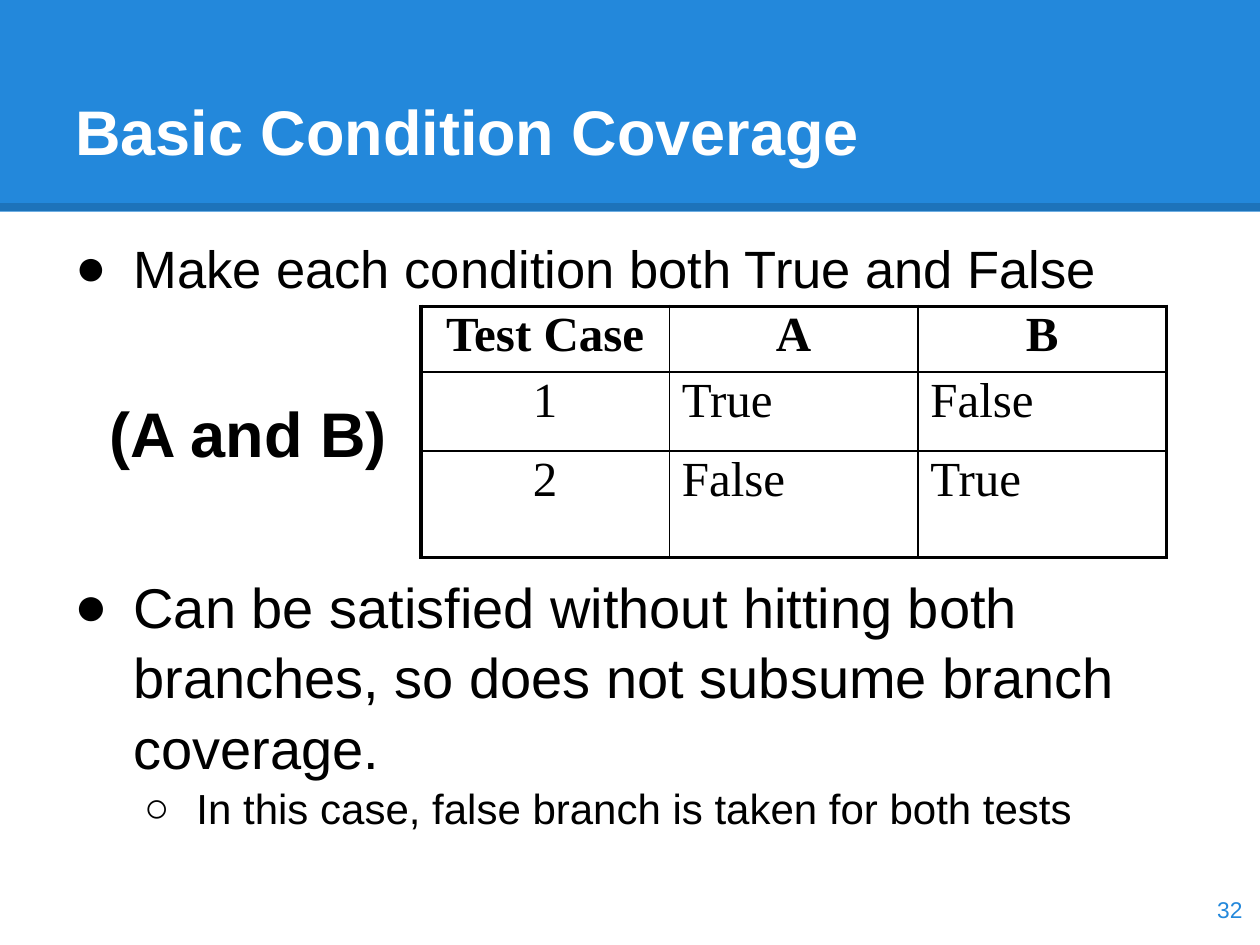
"""Build the Basic Condition Coverage slide."""
from dataclasses import dataclass

from lxml import etree
from pptx import Presentation
from pptx import util as u
from pptx.dml.color import RGBColor
from pptx.enum import shapes, text
from pptx.oxml import ns


@dataclass(frozen=True)
class Theme:
    blue: str = "2388DB"
    black: str = "000000"
    white: str = "FFFFFF"
    sans: str = "Arial"
    serif: str = "Times New Roman"
    heading: int = 36
    lead: int = 30
    body: int = 32
    detail: int = 24
    cell: int = 28
    number: int = 13
    thick: float = 2.25
    thin: float = 1


def add_element(parent, tag, **attributes):
    return etree.SubElement(parent, ns.qn(tag), attributes)


class SlideBuilder:
    def __init__(self, slide, theme):
        self.slide = slide
        self.theme = theme

    def style(self, paragraph, size, color, font=None, bold=False):
        for run in paragraph.runs:
            run.font.name = font or self.theme.sans
            run.font.size = u.Pt(size)
            run.font.bold = bold
            run.font.color.rgb = RGBColor.from_string(color)

    def band(self, left, top, width, height):
        shape = self.slide.shapes.add_shape(
            shapes.MSO_SHAPE.RECTANGLE, u.Pt(left), u.Pt(top), u.Pt(width), u.Pt(height))
        shape.shadow.inherit = False
        shape.fill.solid()
        shape.fill.fore_color.rgb = RGBColor.from_string(self.theme.blue)
        shape.line.fill.background()

    def rule(self, left, right, top, width, opacity):
        line = self.slide.shapes.add_connector(
            shapes.MSO_CONNECTOR.STRAIGHT, u.Pt(left), u.Pt(top), u.Pt(right), u.Pt(top))
        line.line.width = u.Pt(width)
        line.line.color.rgb = RGBColor.from_string(self.theme.black)
        color = line.line._ln.find(".//" + ns.qn("a:srgbClr"))
        add_element(color, "a:alpha", val=str(opacity * 1000))
        add_element(line._element.spPr, "a:effectLst")

    def frame(self, box, margins, anchor=text.MSO_ANCHOR.TOP):
        shape = self.slide.shapes.add_textbox(*map(u.Pt, box))
        frame = shape.text_frame
        frame.word_wrap = True
        frame.vertical_anchor = anchor
        (frame.margin_left, frame.margin_top,
         frame.margin_right, frame.margin_bottom) = map(u.Pt, margins)
        return frame

    def label(self, words, box, margins, size, color, bold=False,
              anchor=text.MSO_ANCHOR.TOP, align=text.PP_ALIGN.LEFT):
        paragraph = self.frame(box, margins, anchor).paragraphs[0]
        paragraph.text = words
        paragraph.alignment = align
        self.style(paragraph, size, color, bold=bold)

    def bullets(self, items, box, margins, spacing):
        frame = self.frame(box, margins)
        for index, (words, level, size, indent, before) in enumerate(items):
            paragraph = frame.paragraphs[0] if index == 0 else frame.add_paragraph()
            paragraph.text = words
            paragraph.level = level
            paragraph.line_spacing = spacing
            paragraph.space_before = u.Pt(before)
            properties = paragraph._p.get_or_add_pPr()
            properties.set("marL", str(u.Pt(36 * (level + 1))))
            properties.set("indent", str(u.Pt(-indent)))
            color = add_element(properties, "a:buClr")
            add_element(color, "a:srgbClr", val=self.theme.black)
            add_element(properties, "a:buFont", typeface=self.theme.sans)
            add_element(properties, "a:buChar", char="●○"[level])
            self.style(paragraph, size, self.theme.black)

    def borders(self, cell, edges):
        properties = cell._tc.get_or_add_tcPr()
        for position, (side, outer) in enumerate(edges.items()):
            width = self.theme.thick if outer else self.theme.thin
            line = etree.Element(ns.qn(f"a:ln{side}"), w=str(u.Pt(width)))
            fill = add_element(line, "a:solidFill")
            add_element(fill, "a:srgbClr", val=self.theme.black)
            properties.insert(position, line)

    def table(self, rows, left, top, column_width, heights):
        columns = len(rows[0])
        table = self.slide.shapes.add_table(
            len(rows), columns, u.Pt(left), u.Pt(top),
            u.Pt(column_width * columns), u.Pt(sum(heights))).table
        table.first_row = table.horz_banding = False
        for column in table.columns:
            column.width = u.Pt(column_width)
        for r, (values, height) in enumerate(zip(rows, heights)):
            table.rows[r].height = u.Pt(height)
            for c, value in enumerate(values):
                cell = table.cell(r, c)
                cell.text = value
                cell.fill.background()
                paragraph = cell.text_frame.paragraphs[0]
                paragraph.line_spacing = 0.9
                centered = r == 0 or c == 0
                paragraph.alignment = text.PP_ALIGN.CENTER if centered else text.PP_ALIGN.LEFT
                self.style(paragraph, self.theme.cell, self.theme.black,
                           self.theme.serif, bold=r == 0)
                self.borders(cell, {"L": c == 0, "R": c == columns - 1,
                                    "T": r == 0, "B": r == len(rows) - 1})


def main():
    theme = Theme()
    presentation = Presentation()
    presentation.slide_width, presentation.slide_height = u.Pt(720), u.Pt(540)
    slide = presentation.slides.add_slide(presentation.slide_layouts[6])
    builder = SlideBuilder(slide, theme)
    even = (7.2,) * 4
    middle = text.MSO_ANCHOR.MIDDLE

    builder.band(0, 0, 720, 121)
    builder.rule(0, 720, 118.4, 4.5, 15)
    builder.label("Basic Condition Coverage", (36, 29.5, 648, 90), (7.2, 3.6, 3.6, 3.6),
                  theme.heading, theme.white, bold=True, anchor=middle)
    builder.bullets([
        ("Make each condition both True and False", 0, theme.lead, 33, 0),
        ("Can be satisfied without hitting both branches, so does not subsume branch coverage.",
         0, theme.body, 33.8, 154),
        ("In this case, false branch is taken for both tests", 1, theme.detail, 30, 0),
    ], (36, 126, 648, 391), (4.3, 7.2, 7.2, 3.6), 1.05)
    builder.table([("Test Case", "A", "B"), ("1", "True", "False"), ("2", "False", "True")],
                  240.5, 175, 142, (36, 45.2, 61))
    builder.label("(A and B)", (55.4, 218.2, 185, 60.5), even,
                  theme.heading, theme.black, bold=True)
    builder.label("32", (674, 499, 43, 41), even, theme.number, theme.blue,
                  anchor=middle, align=text.PP_ALIGN.RIGHT)
    presentation.save("out.pptx")


if __name__ == "__main__":
    main()
